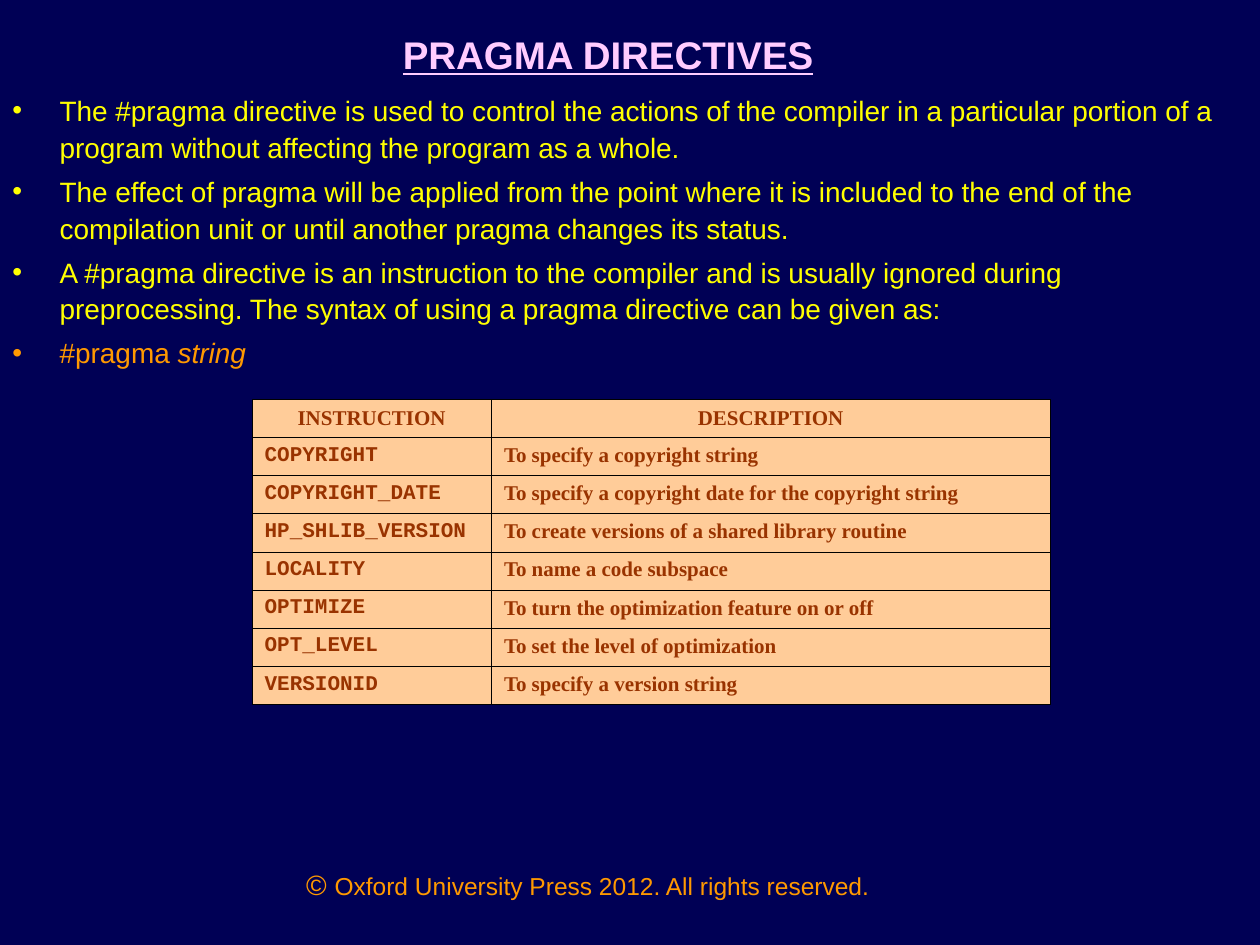
"""Build the slide on pragma directives: title, bullets, instruction table and footer."""
from dataclasses import dataclass

from lxml.etree import SubElement
from pptx import Presentation
from pptx.dml.color import RGBColor
from pptx.enum.text import MSO_ANCHOR as Anchor, PP_ALIGN as Align
from pptx.oxml.ns import qn
from pptx.util import Pt


@dataclass(frozen=True)
class Theme:
    background: str = "000055"
    title: str = "FFCCFF"
    body: str = "FFFF00"
    accent: str = "FF9900"
    cell: str = "FFCC99"
    cell_text: str = "993300"
    border: str = "000000"
    sans: str = "Arial"
    serif: str = "Times New Roman"
    mono: str = "Courier New"
    title_size: float = 22
    body_size: float = 16
    footer_size: float = 14
    table_size: float = 12
    border_width: float = 0.45


@dataclass(frozen=True)
class Area:
    left: float
    top: float
    width: float
    height: float

    def lengths(self) -> tuple:
        return Pt(self.left), Pt(self.top), Pt(self.width), Pt(self.height)


@dataclass(frozen=True)
class Bullet:
    text: str
    color: str
    italic_end: str = ""


@dataclass(frozen=True)
class Instruction:
    name: str
    description: str


THEME = Theme()
TITLE_AREA = Area(30, -24, 648, 90)
BODY_AREA = Area(0, 48, 720, 210)
TABLE_AREA = Area(144, 228.4, 456, 173.6)
FOOTER_AREA = Area(144, 492, 384, 37.5)
NAME_WIDTH = 136.8
HEADER_HEIGHT = 20.9
HANGING_INDENT = 27

BULLETS = [
    Bullet("The #pragma directive is used to control the actions of the compiler in a particular "
           "portion of a program without affecting the program as a whole.", THEME.body),
    Bullet("The effect of pragma will be applied from the point where it is included to the end "
           "of the compilation unit or until another pragma changes its status.", THEME.body),
    Bullet("A #pragma directive is an instruction to the compiler and is usually ignored during "
           "preprocessing. The syntax of using a pragma directive can be given as:", THEME.body),
    Bullet("#pragma ", THEME.accent, "string"),
]
HEADER = Instruction("INSTRUCTION", "DESCRIPTION")
INSTRUCTIONS = [
    Instruction("COPYRIGHT", "To specify a copyright string"),
    Instruction("COPYRIGHT_DATE", "To specify a copyright date for the copyright string"),
    Instruction("HP_SHLIB_VERSION", "To create versions of a shared library routine"),
    Instruction("LOCALITY", "To name a code subspace"),
    Instruction("OPTIMIZE", "To turn the optimization feature on or off"),
    Instruction("OPT_LEVEL", "To set the level of optimization"),
    Instruction("VERSIONID", "To specify a version string"),
]


def style(font, name: str, size: float, color: str, bold: bool = False) -> None:
    font.name, font.size, font.bold = name, Pt(size), bold
    font.color.rgb = RGBColor.from_string(color)


def add_frame(page, area: Area):
    frame = page.shapes.add_textbox(*area.lengths()).text_frame
    frame.word_wrap = True
    return frame


def add_span(para, text: str):
    span = para.add_run()
    span.text = text
    return span


def add_title(page) -> None:
    frame = add_frame(page, TITLE_AREA)
    frame.vertical_anchor = Anchor.MIDDLE
    frame.margin_top, frame.margin_right = Pt(23.6), Pt(20)
    para = frame.paragraphs[0]
    para.alignment = Align.CENTER
    style(para.font, THEME.sans, THEME.title_size, THEME.title, bold=True)
    para.font.underline = True
    add_span(para, "PRAGMA DIRECTIVES")


def add_bullet_mark(para, color: str) -> None:
    properties = para._p.get_or_add_pPr()
    properties.set("marL", str(Pt(HANGING_INDENT)))
    properties.set("indent", str(-Pt(HANGING_INDENT)))
    SubElement(SubElement(properties, qn("a:buClr")), qn("a:srgbClr"), val=color)
    SubElement(properties, qn("a:buFont"), typeface=THEME.sans)
    SubElement(properties, qn("a:buChar"), char="•")


def add_body(page) -> None:
    frame = add_frame(page, BODY_AREA)
    for index, bullet in enumerate(BULLETS):
        para = frame.add_paragraph() if index else frame.paragraphs[0]
        add_bullet_mark(para, bullet.color)
        para.line_spacing = 1.1
        para.space_before = Pt(4 if index else 0)
        style(para.font, THEME.sans, THEME.body_size, bullet.color)
        add_span(para, bullet.text)
        if bullet.italic_end:
            add_span(para, bullet.italic_end).font.italic = True


def add_borders(cell) -> None:
    properties = cell._tc.get_or_add_tcPr()
    for side in ("lnL", "lnR", "lnT", "lnB"):
        line = SubElement(properties, qn(f"a:{side}"), w=str(Pt(THEME.border_width)))
        SubElement(SubElement(line, qn("a:solidFill")), qn("a:srgbClr"), val=THEME.border)


def fill_cell(cell, text: str, font_name: str, is_header: bool) -> None:
    add_borders(cell)
    cell.fill.solid()
    cell.fill.fore_color.rgb = RGBColor.from_string(THEME.cell)
    cell.vertical_anchor = Anchor.MIDDLE if is_header else Anchor.TOP
    para = cell.text_frame.paragraphs[0]
    para.alignment = Align.CENTER if is_header else Align.JUSTIFY
    style(para.font, font_name, THEME.table_size, THEME.cell_text, bold=True)
    add_span(para, text)


def add_instruction_table(page) -> None:
    rows = [HEADER, *INSTRUCTIONS]
    table = page.shapes.add_table(len(rows), 2, *TABLE_AREA.lengths()).table
    table.columns[0].width = Pt(NAME_WIDTH)
    table.columns[1].width = Pt(TABLE_AREA.width - NAME_WIDTH)
    row_height = (TABLE_AREA.height - HEADER_HEIGHT) / len(INSTRUCTIONS)
    for index, row in enumerate(rows):
        is_header = index == 0
        table.rows[index].height = Pt(HEADER_HEIGHT if is_header else row_height)
        name_font = THEME.serif if is_header else THEME.mono
        fill_cell(table.cell(index, 0), row.name, name_font, is_header)
        fill_cell(table.cell(index, 1), row.description, THEME.serif, is_header)


def add_footer(page) -> None:
    para = add_frame(page, FOOTER_AREA).paragraphs[0]
    para.alignment = Align.CENTER
    style(para.font, THEME.sans, THEME.footer_size, THEME.accent)
    add_span(para, "© ").font.size = Pt(THEME.body_size)
    add_span(para, "Oxford University Press 2012. All rights reserved.")


def main() -> None:
    deck = Presentation()
    deck.slide_width, deck.slide_height = Pt(720), Pt(540)
    page = deck.slides.add_slide(deck.slide_layouts[6])
    page.background.fill.solid()
    page.background.fill.fore_color.rgb = RGBColor.from_string(THEME.background)
    add_footer(page)
    add_title(page)
    add_body(page)
    add_instruction_table(page)
    deck.save("out.pptx")


if __name__ == "__main__":
    main()
